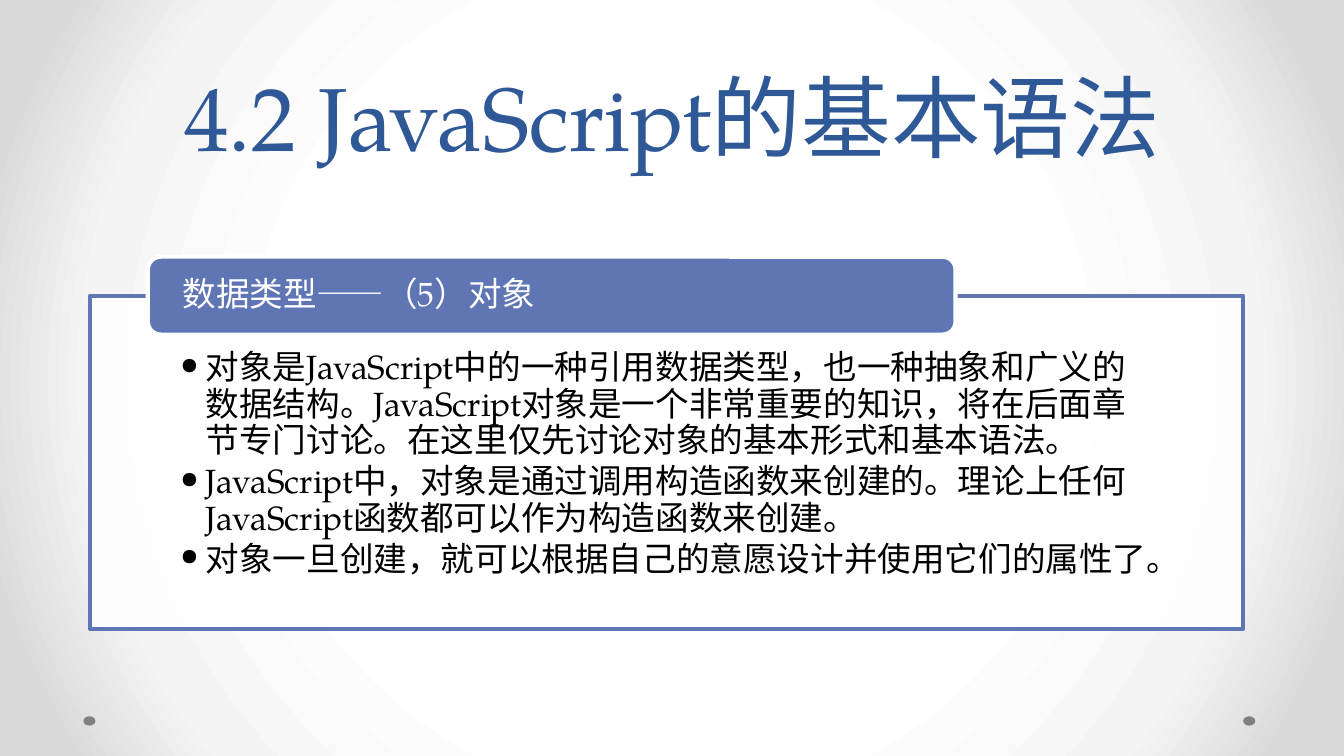
from dataclasses import dataclass

from lxml import etree
from pptx import Presentation, util as u
from pptx.dml.color import RGBColor
from pptx.enum import shapes, text
from pptx.oxml import ns


@dataclass(frozen=True)
class Theme:
    """Colours, font and type sizes of the slide."""
    font: str = "TeX Gyre Pagella"
    title: str = "2F5897"
    accent: str = "6076B4"
    dot: str = "808080"
    white: str = "FFFFFF"
    black: str = "000000"
    backdrop: tuple = ((50, "FFFFFF"), (76, "F4F4F4"), (92, "DADADA"))
    title_size: int = 48
    body_size: int = 18
    line_width: float = 2.25


T = Theme()
TITLE = "4.2 JavaScript的基本语法"
HEADING = "数据类型——（5）对象"
POINTS = (
    "对象是JavaScript中的一种引用数据类型，也一种抽象和广义的数据结构。"
    "JavaScript对象是一个非常重要的知识，将在后面章节专门讨论。"
    "在这里仅先讨论对象的基本形式和基本语法。",
    "JavaScript中，对象是通过调用构造函数来创建的。"
    "理论上任何JavaScript函数都可以作为构造函数来创建。",
    "对象一旦创建，就可以根据自己的意愿设计并使用它们的属性了。",
)


def add_sub(parent, tag, **attrs):
    """Append a drawing element with the given attributes."""
    return etree.SubElement(parent, ns.qn(tag), attrs)


def set_backdrop(s):
    """Fill the slide background with a circular gradient."""
    s.background.fill.gradient()
    grad = s._element.xpath(".//a:gradFill")[0]
    for child in list(grad):
        grad.remove(child)
    stops = add_sub(grad, "a:gsLst")
    for pos, color in T.backdrop:
        stop = add_sub(stops, "a:gs", pos=str(pos * 1000))
        add_sub(stop, "a:srgbClr", val=color)
    circle = add_sub(grad, "a:path", path="circle")
    add_sub(circle, "a:fillToRect", l="50000", t="50000", r="50000", b="50000")


def add_box(s, kind, box, fill, line=None, alpha=None):
    """Add a filled preset shape, optionally outlined and translucent."""
    sp = s.shapes.add_shape(kind, *map(u.Inches, box))
    sp.shadow.inherit = False
    sp.fill.solid()
    sp.fill.fore_color.rgb = RGBColor.from_string(fill)
    if alpha is not None:
        color = sp._element.spPr.find(ns.qn("a:solidFill"))[0]
        add_sub(color, "a:alpha", val=str(alpha * 1000))
    if line:
        sp.line.color.rgb = RGBColor.from_string(line)
        sp.line.width = u.Pt(T.line_width)
    else:
        sp.line.fill.background()
    return sp


def write(sp, *lines, size=T.body_size, color=T.black, align=text.PP_ALIGN.LEFT,
          anchor=text.MSO_ANCHOR.TOP, inset=(0.1, 0.05, 0.1, 0.05),
          spacing=0.9, after=0, bullet=None, indent=0):
    """Write paragraphs into a shape with one shared format."""
    tf = sp.text_frame
    tf.word_wrap = True
    tf.vertical_anchor = anchor
    tf.margin_left, tf.margin_top, tf.margin_right, tf.margin_bottom = map(u.Inches, inset)
    for i, line in enumerate(lines):
        p = tf.add_paragraph() if i else tf.paragraphs[0]
        p.alignment = align
        p.line_spacing = spacing
        p.space_after = u.Pt(after)
        if bullet:
            p.level = 1
            pPr = p._p.get_or_add_pPr()
            pPr.set("marL", str(u.Inches(indent)))
            pPr.set("indent", str(-u.Inches(indent)))
            add_sub(pPr, "a:buFont", typeface=T.font)
            add_sub(pPr, "a:buChar", char=bullet)
        r = p.add_run()
        r.text = line
        r.font.name = T.font
        r.font.size = u.Pt(size)
        r.font.color.rgb = RGBColor.from_string(color)


def add_title(s):
    """Add the centred slide title."""
    sp = s.shapes.add_textbox(*map(u.Inches, (0.5, 0, 9, 1.31)))
    write(sp, TITLE, size=T.title_size, color=T.title, align=text.PP_ALIGN.CENTER,
          anchor=text.MSO_ANCHOR.BOTTOM, spacing=u.Pt(58))


def add_panel(s):
    """Add the framed bullet list and its overlapping heading."""
    frame = add_box(s, shapes.MSO_SHAPE.RECTANGLE, (0.67, 2.2, 8.58, 2.48),
                    T.white, T.accent, alpha=90)
    write(frame, *POINTS, inset=(0.67, 0.41, 0.67, 0.14), after=2.7,
          bullet="•", indent=0.19)
    tab = add_box(s, shapes.MSO_SHAPE.ROUNDED_RECTANGLE, (1.1, 1.91, 6.01, 0.58),
                  T.accent, T.white)
    write(tab, HEADING, color=T.white, anchor=text.MSO_ANCHOR.MIDDLE,
          inset=(0.23, 0, 0.23, 0))


def main():
    """Build and save the slide."""
    prs = Presentation()
    prs.slide_width = u.Inches(10)
    prs.slide_height = prs.slide_width * 9 // 16
    s = prs.slides.add_slide(prs.slide_layouts[6])
    set_backdrop(s)
    for left in (9.25, 0.62):
        add_box(s, shapes.MSO_SHAPE.OVAL, (left, 5.33, 0.09, 0.07), T.dot)
    add_title(s)
    add_panel(s)
    prs.save("out.pptx")


if __name__ == "__main__":
    main()
